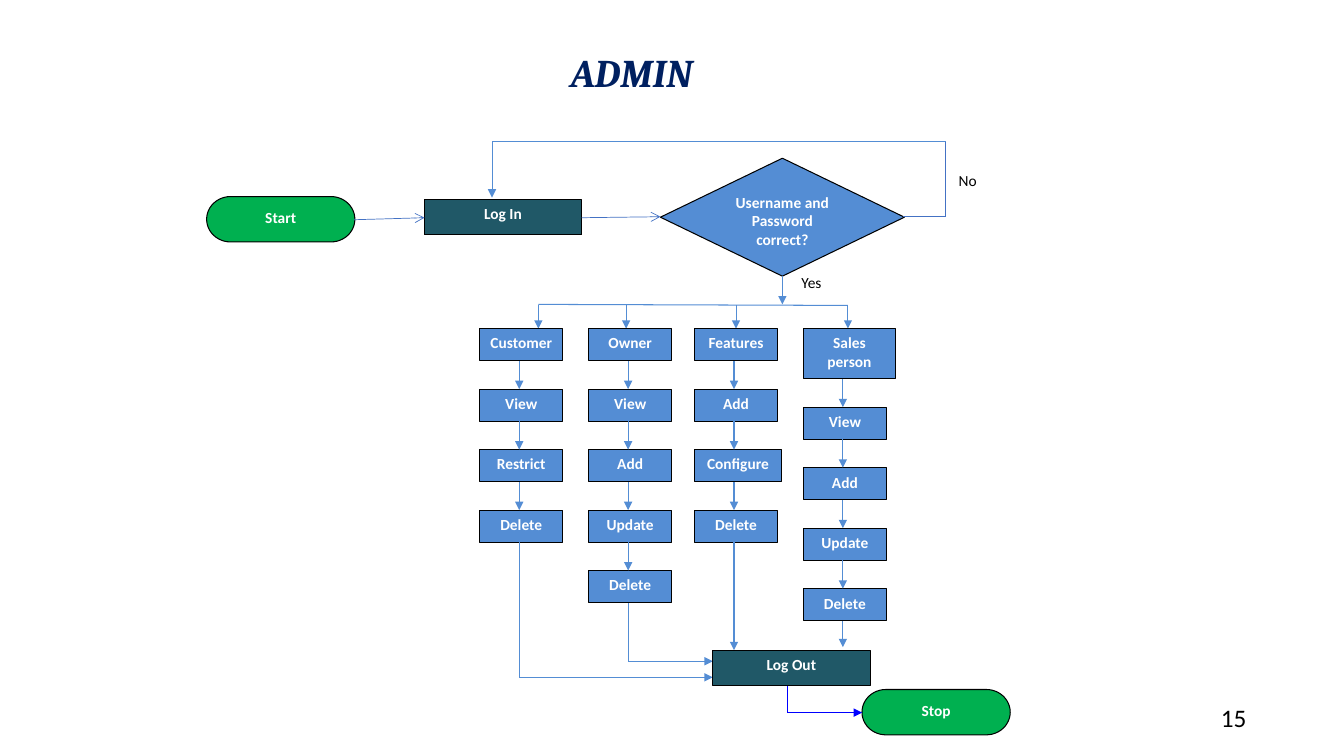
from itertools import pairwise

from lxml import etree
from pptx import Presentation
from pptx.dml.color import RGBColor
from pptx.enum.shapes import MSO_CONNECTOR, MSO_SHAPE
from pptx.enum.text import MSO_ANCHOR, PP_ALIGN
from pptx.oxml.ns import qn
from pptx.util import Inches, Pt

RECT = MSO_SHAPE.RECTANGLE
STEP = MSO_SHAPE.FLOWCHART_PROCESS
PILL = MSO_SHAPE.FLOWCHART_TERMINATOR
GEM = MSO_SHAPE.DIAMOND
LINE = MSO_CONNECTOR.STRAIGHT
TOP = MSO_ANCHOR.TOP
LEFT, MID = PP_ALIGN.LEFT, PP_ALIGN.CENTER

BLUE, TEAL, GREEN = "548DD4", "205867", "00B050"
WIRE, NAVY, PURE = "4472C4", "002060", "0000FF"
BLACK, WHITE = "000000", "FFFFFF"

CELL = 0.1
ROW = 6
ITEM = (8.2, 3.2)
WIDE = {"Configure": (8.6, 3.2), "Sales person": (9.1, 5)}
PILL_SIZE = (14.7, 4.5)
STEP_SIZE = (15.6, 3.5)
MENUS = [
    (0, 5.8, ["Customer", "View", "Restrict", "Delete"]),
    (10.8, 14.5, ["Owner", "View", "Add", "Update", "Delete"]),
    (21.3, 25.4, ["Features", "Add", "Configure", "Delete"]),
    (32.1, 36.5, ["Sales person", "View", "Add", "Update", "Delete"]),
]


def grid(*cells):
    return [Inches(cell * CELL) for cell in cells]


def paint(color):
    return RGBColor.from_string(color)


def write(frame, text, size=11, font="Calibri", color=WHITE, bold=False,
          slant=False, align=LEFT, after=0):
    frame.word_wrap = True
    frame.vertical_anchor = TOP
    para = frame.paragraphs[0]
    para.alignment = align
    para.space_after = Pt(after)
    run = para.add_run()
    run.text = text
    run.font.size = Pt(size)
    run.font.name = font
    run.font.bold = bold
    run.font.italic = slant
    run.font.color.rgb = paint(color)


def node(slide, kind, box, text, fill=BLUE, edge=BLACK, **style):
    shape = slide.shapes.add_shape(kind, *grid(*box))
    shape.shadow.inherit = False
    shape.fill.solid()
    shape.fill.fore_color.rgb = paint(fill)
    shape.line.color.rgb = paint(edge)
    shape.line.width = Pt(0.75)
    write(shape.text_frame, text, **{"bold": True, "align": MID, "after": 10, **style})


def label(slide, box, text):
    node(slide, RECT, box, text, fill=WHITE, edge=WHITE,
         color=BLACK, bold=False, align=LEFT)


def route(slide, *points, color=BLUE, width=0.75, head="triangle"):
    for start, end in pairwise(points):
        wire = slide.shapes.add_connector(LINE, *grid(*start, *end))
        wire.line.color.rgb = paint(color)
        wire.line.width = Pt(width)
        props = wire._element.spPr
        etree.SubElement(props, qn("a:effectLst"))
    if head:
        etree.SubElement(wire.line._get_or_add_ln(), qn("a:tailEnd"), type=head)


def title(slide, box, text):
    shape = slide.shapes.title
    shape.left, shape.top, shape.width, shape.height = grid(*box)
    write(shape.text_frame, text, size=28, font="Cambria", color=NAVY,
          bold=True, slant=True, align=MID)


def number(slide, box, text):
    shape = slide.shapes.add_textbox(*grid(*box))
    write(shape.text_frame, text, size=18, color=BLACK)


def entry(slide, box):
    x, y, w, h = box
    mid = y + 7.5
    right = x + w
    label(slide, (right + 0.3, y + 2.5, 4.7, 4.1), "No")
    label(slide, (x + 58, y + 12.6, 4.5, 3.2), "Yes")
    node(slide, PILL, (x, y + 5.5, *PILL_SIZE), "Start", fill=GREEN)
    node(slide, STEP, (x + 21.6, y + 5.8, *STEP_SIZE), "Log In", fill=TEAL)
    node(slide, GEM, (x + 45, y + 1.7, 24.2, 11.7), "Username and Password correct?")
    route(slide, (x + 14.6, mid + 0.3), (x + 21.6, mid + 0.1),
          color=WIRE, width=0.5, head="arrow")
    route(slide, (x + 37.2, mid + 0.1), (x + 45, mid),
          color=WIRE, width=0.5, head="arrow")
    route(slide, (x + 69.1, mid), (right, mid), (right, y),
          color=WIRE, width=0.5, head=None)
    route(slide, (right, y), (x + 28.3, y), (x + 28.3, y + 5.6))
    route(slide, (x + 57.1, y + 13.4), (x + 57.1, y + h))


def menu(slide, box, names):
    x, y, w, h = box
    axis = x + 3.9
    base = None
    for name in names:
        size = WIDE.get(name, ITEM)
        node(slide, RECT, (x, y, *size), name)
        if base:
            route(slide, (axis, base), (axis, y))
        base = y + size[1]
        y += ROW + size[1] - ITEM[1]
    return axis, base


def menus(slide, box):
    x, y, w, h = box
    top, end = y + 2.4, y + h
    route(slide, (x + MENUS[0][1], y), (x + MENUS[-1][1], y + 0.1), head=None)
    tails = []
    for left, drop, names in MENUS:
        route(slide, (x + drop, y + 0.1), (x + drop, top))
        tails.append(menu(slide, (x + left, top, w / 4, h - 2.4), names))
    door = x + 23.1
    for (axis, base), turn in zip(tails[:2], (2.7, 1.1)):
        route(slide, (axis, base), (axis, end + turn), (door, end + turn))
    for (axis, base), gap in zip(tails[2:], (0, 0.3)):
        route(slide, (axis, base), (axis, end - gap))


def leave(slide, box):
    x, y, w, h = box
    turn = y + 6.2
    pill = x + w - PILL_SIZE[0]
    node(slide, STEP, (x, y, *STEP_SIZE), "Log Out", fill=TEAL)
    node(slide, PILL, (pill, y + h - PILL_SIZE[1], *PILL_SIZE), "Stop", fill=GREEN)
    route(slide, (x + 7.4, y + 3.6), (x + 7.4, turn), (pill, turn), color=PURE)


def main():
    deck = Presentation()
    deck.slide_width, deck.slide_height = Inches(13.33), Inches(7.5)
    slide = deck.slides.add_slide(deck.slide_layouts[5])
    title(slide, (28.3, 4.3, 68.7, 5.7), "ADMIN")
    entry(slide, (20.5, 14, 73.3, 16.2))
    menus(slide, (47.6, 30.2, 41.1, 34.3))
    leave(slide, (70.7, 64.5, 29.5, 8.4))
    number(slide, (120.1, 69.2, 10.5, 4), "15")
    deck.save("out.pptx")


if __name__ == "__main__":
    main()
